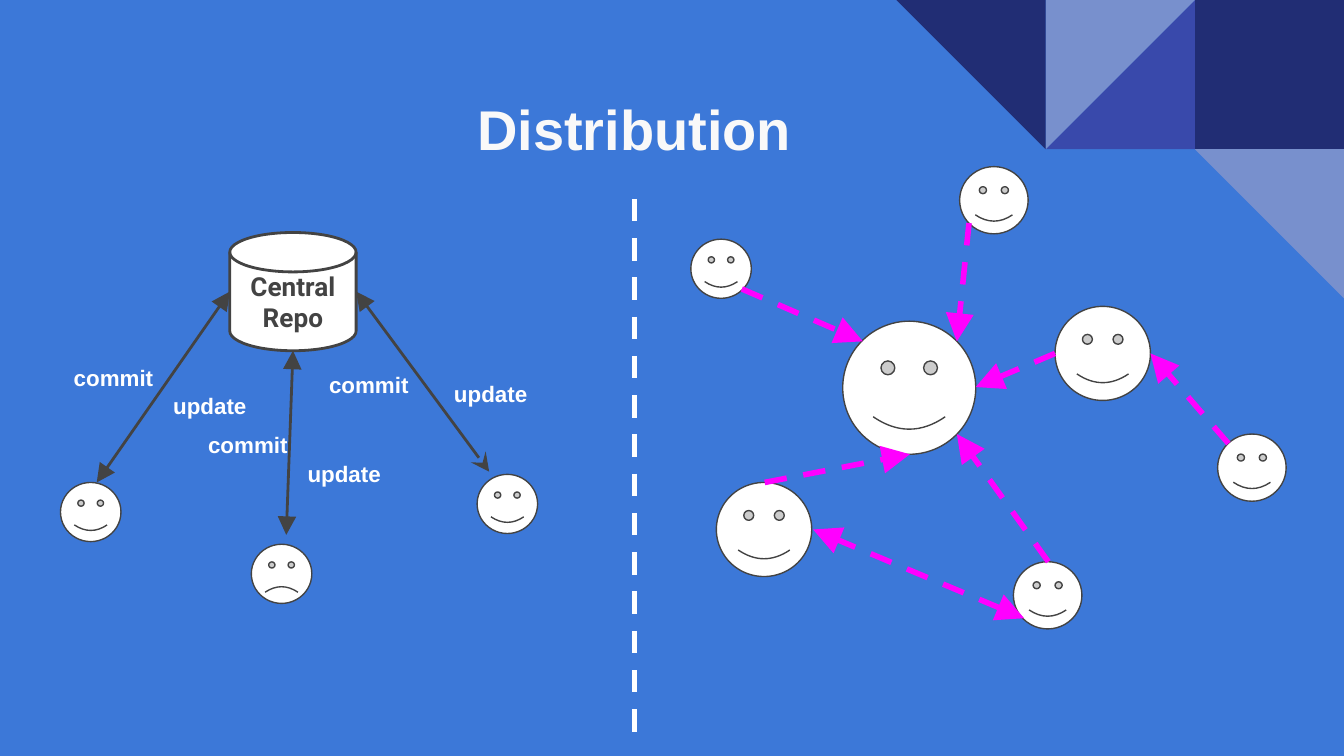
from lxml import etree
from pptx import Presentation
from pptx.dml.color import RGBColor
from pptx.enum.dml import MSO_LINE
from pptx.enum.shapes import MSO_CONNECTOR, MSO_SHAPE
from pptx.enum.text import MSO_ANCHOR, PP_ALIGN
from pptx.oxml.ns import qn
from pptx.util import Inches, Pt

BLUE = RGBColor(0x3C, 0x78, 0xD8)
NAVY = RGBColor(0x21, 0x2D, 0x74)
INDIGO = RGBColor(0x39, 0x49, 0xAB)
PALE_BLUE = RGBColor(0x78, 0x90, 0xCD)
WHITE = RGBColor(0xFF, 0xFF, 0xFF)
OFF_WHITE = RGBColor(0xF9, 0xF9, 0xF9)
GRAY = RGBColor(0x43, 0x43, 0x43)
MAGENTA = RGBColor(0xFF, 0x00, 0xFF)

SQUARE, TRIANGLE = MSO_SHAPE.RECTANGLE, MSO_SHAPE.RIGHT_TRIANGLE
DISK, FACE = MSO_SHAPE.FLOWCHART_MAGNETIC_DISK, MSO_SHAPE.SMILEY_FACE
STRAIGHT, DASH = MSO_CONNECTOR.STRAIGHT, MSO_LINE.DASH
CENTER, LEFT = PP_ALIGN.CENTER, PP_ALIGN.LEFT
MIDDLE = MSO_ANCHOR.MIDDLE

# Widescreen slide, 16:9
presentation = Presentation()
presentation.slide_width = Inches(10)
presentation.slide_height = Inches(10) * 9 // 16
slide = presentation.slides.add_slide(presentation.slide_layouts[6])
slide.background.fill.solid()
slide.background.fill.fore_color.rgb = BLUE


def add_filled(kind, left, top, width, height, fill, line_width=0):
    shape = slide.shapes.add_shape(
        kind, Inches(left), Inches(top), Inches(width), Inches(height))
    shape.shadow.inherit = False
    shape.fill.solid()
    shape.fill.fore_color.rgb = fill
    if line_width:
        shape.line.color.rgb = GRAY
        shape.line.width = Pt(line_width)
    else:
        shape.line.fill.background()
    return shape


def add_line(start, end, color, width, dash=None, head=None, tail=None):
    connector = slide.shapes.add_connector(
        STRAIGHT, *(Inches(value) for value in (*start, *end)))
    connector.line.color.rgb = color
    connector.line.width = Pt(width)
    if dash:
        connector.line.dash_style = dash
    outline = connector.line._get_or_add_ln()
    for tag, arrow in (("a:headEnd", head), ("a:tailEnd", tail)):
        if arrow:
            etree.SubElement(outline, qn(tag), type=arrow, w="lg", len="lg")
    etree.SubElement(connector._element.spPr, qn("a:effectLst"))


# Corner decoration: column, row, kind, rotation, color
TILE = 1.11
for column, row, kind, rotation, color in (
    (2, 0, SQUARE, 0, NAVY),
    (1, 0, TRIANGLE, 270, INDIGO),
    (1, 0, TRIANGLE, 90, PALE_BLUE),
    (0, 0, TRIANGLE, 180, NAVY),
    (2, 1, TRIANGLE, 180, PALE_BLUE),
):
    tile = add_filled(kind, 6.67 + column * TILE, row * TILE, TILE, TILE, color)
    tile.rotation = rotation

# Central repository
repository = add_filled(DISK, 1.71, 1.73, 0.94, 0.88, WHITE, 1.5)
frame = repository.text_frame
frame.word_wrap = True
frame.vertical_anchor = MIDDLE
frame.margin_left = frame.margin_right = Inches(0.1)
frame.margin_top = frame.margin_bottom = Inches(0.1)
paragraph = frame.paragraphs[0]
paragraph.text = "Central Repo"
paragraph.alignment = CENTER
paragraph.font.name = "Roboto"
paragraph.font.size = Pt(14)
paragraph.font.bold = True
paragraph.font.color.rgb = GRAY

# Arrows between the users and the repository
for start, end, head in (
    ((0.72, 3.59), (1.71, 2.17), "triangle"),
    ((2.13, 3.98), (2.18, 2.61), "triangle"),
    ((3.64, 3.51), (2.65, 2.17), "stealth"),
):
    add_line(start, end, GRAY, 1.5, head=head, tail="triangle")

# Title and arrow labels
LABEL = (0.83, 0.31, 12, WHITE, LEFT)
for text, left, top, width, height, size, color, alignment in (
    ("Distribution", 2.23, 0.6, 4.98, 0.88, 30, OFF_WHITE, CENTER),
    ("commit", 0.45, 2.61, *LABEL),
    ("update", 1.19, 2.82, *LABEL),
    ("commit", 1.45, 3.11, *LABEL),
    ("update", 2.19, 3.32, *LABEL),
    ("commit", 2.35, 2.66, *LABEL),
    ("update", 3.28, 2.73, *LABEL),
):
    box = slide.shapes.add_textbox(
        Inches(left), Inches(top), Inches(width), Inches(height))
    frame = box.text_frame
    frame.word_wrap = True
    frame.margin_left = frame.margin_right = Inches(0.1)
    frame.margin_top = frame.margin_bottom = Inches(0.1)
    paragraph = frame.paragraphs[0]
    paragraph.text = text
    paragraph.alignment = alignment
    paragraph.font.name = "Arial"
    paragraph.font.size = Pt(size)
    paragraph.font.bold = True
    paragraph.font.color.rgb = color

# Divider between the two models
add_line((4.72, 1.48), (4.72, 5.5), WHITE, 3, DASH)

# Users: left, top, size, smile
SMALL, MEDIUM, LARGE, HUGE = (0.45, 0.44), (0.51, 0.5), (0.71, 0.7), (0.99, 0.99)
HAPPY, SAD = 0.05, -0.05
for left, top, size, smile in (
    (5.14, 1.78, SMALL, HAPPY),
    (6.27, 2.39, HUGE, HAPPY),
    (5.33, 3.59, LARGE, HAPPY),
    (7.85, 2.28, LARGE, HAPPY),
    (7.14, 1.24, MEDIUM, HAPPY),
    (7.54, 4.18, MEDIUM, HAPPY),
    (9.06, 3.23, MEDIUM, HAPPY),
    (1.87, 4.05, SMALL, SAD),
    (3.55, 3.53, SMALL, HAPPY),
    (0.45, 3.59, SMALL, HAPPY),
):
    face = add_filled(FACE, left, top, *size, WHITE, 0.75)
    face.adjustments[0] = smile

# Exchanges between distributed users
for start, end, head in (
    ((9.14, 3.3), (8.56, 2.63), None),
    ((7.8, 4.18), (7.12, 3.23), None),
    ((7.62, 4.6), (6.05, 3.94), "triangle"),
    ((5.69, 3.59), (6.77, 3.38), None),
    ((7.21, 1.66), (7.12, 2.54), None),
    ((5.52, 2.15), (6.42, 2.54), None),
    ((7.85, 2.63), (7.26, 2.88), None),
):
    add_line(start, end, MAGENTA, 3, DASH, head, "triangle")

presentation.save("out.pptx")
